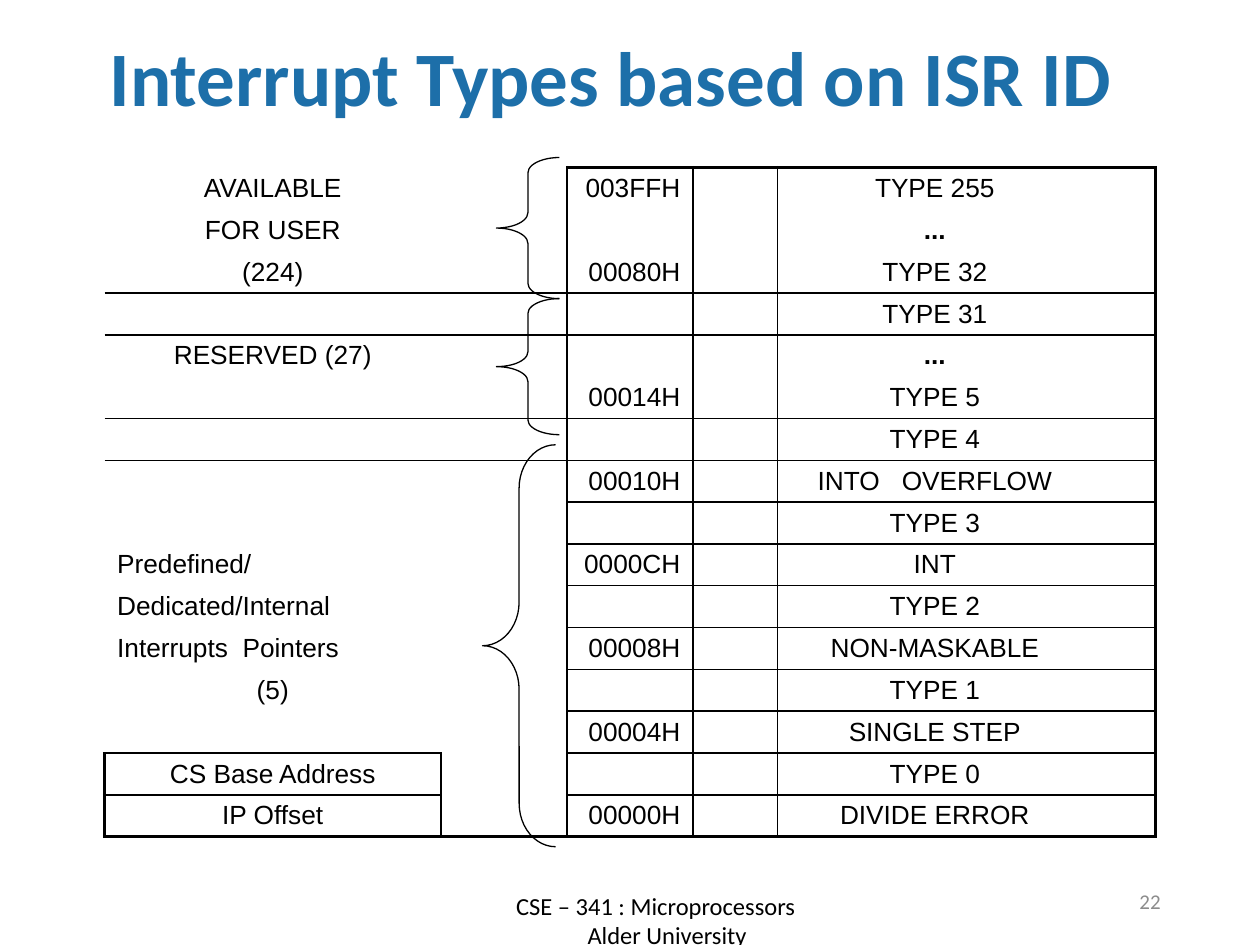
from dataclasses import dataclass
from typing import Iterable

from lxml import etree
from pptx import Presentation
from pptx.dml.color import RGBColor
from pptx.enum.shapes import MSO_SHAPE
from pptx.enum.text import MSO_ANCHOR, MSO_AUTO_SIZE, PP_ALIGN
from pptx.oxml.ns import qn
from pptx.util import Inches, Pt

LEFT, CENTER, RIGHT = PP_ALIGN.LEFT, PP_ALIGN.CENTER, PP_ALIGN.RIGHT
MIDDLE, NO_FIT = MSO_ANCHOR.MIDDLE, MSO_AUTO_SIZE.NONE
LEFT_BRACE = MSO_SHAPE.LEFT_BRACE

BLACK, BLUE, GRAY = "000000", "1D6FA9", "8C8C8C"
TITLE = {"name": "Calibri", "size": Pt(44), "bold": True}
CELL = {"name": "Arial", "size": Pt(15), "bold": False}
FOOTER = {"name": "Calibri", "size": Pt(14)}
NUMBER = {"name": "Calibri", "size": Pt(12)}

THIN, THICK = 1, 2.25
NO_STYLE = "{2D5ABB26-0587-4C30-8999-92F81FD0307C}"
ROWS, ROW_HEIGHT = 16, 0.332
COL_WIDTHS = [2.67, 1, 1, 0.67, 2.5, 0.5]
GROUP_COL, ADDRESS_COL, TYPE_COL = 0, 2, 4

GROUP_LABELS = {
    0: "AVAILABLE", 1: "FOR USER", 2: "(224)", 4: "RESERVED (27)",
    9: "Predefined/", 10: "Dedicated/Internal", 11: "Interrupts Pointers",
    12: "(5)", 14: "CS Base Address", 15: "IP Offset",
}
LEFT_LABEL_ROWS = range(9, 12)
ADDRESSES = {
    0: "003FFH", 2: "00080H", 5: "00014H", 7: "00010H", 9: "0000CH",
    11: "00008H", 13: "00004H", 15: "00000H",
}
TYPES = [
    "TYPE 255", "...", "TYPE 32", "TYPE 31", "...", "TYPE 5",
    "TYPE 4", "INTO OVERFLOW", "TYPE 3", "INT", "TYPE 2", "NON-MASKABLE",
    "TYPE 1", "SINGLE STEP", "TYPE 0", "DIVIDE ERROR",
]
# Extra width of the word gap, in hundredths of a point
WIDE_GAPS = {"INTO OVERFLOW": 834, "Interrupts Pointers": 417}


@dataclass
class Edge:
    """Line below (B) or to the right (R) of cells; index -1 is the outer edge."""
    side: str
    rows: Iterable[int]
    cols: Iterable[int]
    width: float


@dataclass
class Brace:
    left: float
    top: float
    width: float
    height: float
    curve: float


EDGES = [
    Edge("R", range(ROWS), [1, 2], THIN),
    Edge("R", range(ROWS), [5], THICK),
    Edge("B", [-1], range(2, 6), THICK),
    Edge("B", [15], range(6), THICK),
    Edge("B", [2, 5], range(6), THIN),
    Edge("B", range(7, 15, 2), range(2, 6), THIN),
    Edge("B", range(6, 15, 2), [3, 5], THIN),
    # Box around the base address and offset
    Edge("B", [13, 14], [0], THIN),
    Edge("R", [14, 15], [0], THIN),
    Edge("R", [14, 15], [-1], THICK),
]
BRACES = [
    Brace(3.83, 3.53, 0.58, 3.19, 0.595),
    Brace(3.94, 2.37, 0.5, 1.08, 0.236),
    Brace(3.94, 1.25, 0.5, 1.12, 0.245),
]


def rgb(color: str) -> RGBColor:
    return RGBColor.from_string(color)


def add_run(p, text: str, fmt: dict, color: str):
    r = p.add_run()
    r.text = text
    for name, value in fmt.items():
        setattr(r.font, name, value)
    r.font.color.rgb = rgb(color)
    return r


def add_text_box(s, left: float, top: float, width: float, height: float):
    tf = s.shapes.add_textbox(
        Inches(left), Inches(top), Inches(width), Inches(height)).text_frame
    tf.word_wrap = True
    return tf


def fill_cell(cell, text: str, align) -> None:
    p = cell.text_frame.paragraphs[0]
    p.alignment = align
    fmt = {**CELL, "bold": text == "..."}
    if text in WIDE_GAPS:
        first, gap, last = text.partition(" ")
        add_run(p, first, fmt, BLACK)
        space = add_run(p, gap, fmt, BLACK)
        space.font._element.set("spc", str(WIDE_GAPS[text]))
        add_run(p, last, fmt, BLACK)
    else:
        add_run(p, text, fmt, BLACK)


def collect_borders(edges: list[Edge]) -> dict:
    """Map (row, col, side) to width, on both cells that share an edge."""
    borders = {}
    for edge in edges:
        for row in edge.rows:
            for col in edge.cols:
                borders[row, col, edge.side] = edge.width
                if edge.side == "B":
                    borders[row + 1, col, "T"] = edge.width
                else:
                    borders[row, col + 1, "L"] = edge.width
    return borders


def draw_border(cell, side: str, width: float) -> None:
    tc_pr = cell._tc.get_or_add_tcPr()
    ln = etree.SubElement(tc_pr, qn(f"a:ln{side}"), w=str(Pt(width)))
    fill = etree.SubElement(ln, qn("a:solidFill"))
    etree.SubElement(fill, qn("a:srgbClr"), val=BLACK)


def add_vector_table(s) -> None:
    frame = s.shapes.add_table(
        ROWS, len(COL_WIDTHS), Inches(0.83), Inches(1.33),
        Inches(sum(COL_WIDTHS)), Inches(ROWS * ROW_HEIGHT))
    table = frame.table
    table.first_row = table.horz_banding = False
    table._tbl.tblPr.find(qn("a:tableStyleId")).text = NO_STYLE
    for col, width in zip(table.columns, COL_WIDTHS):
        col.width = Inches(width)

    borders = collect_borders(EDGES)
    for i, row in enumerate(table.rows):
        row.height = Inches(ROW_HEIGHT)
        for j, cell in enumerate(row.cells):
            cell.margin_top = cell.margin_bottom = 0
            cell.vertical_anchor = MIDDLE
            for side in "LRTB":
                if (i, j, side) in borders:
                    draw_border(cell, side, borders[i, j, side])
            cell.fill.background()

    for i, text in GROUP_LABELS.items():
        align = LEFT if i in LEFT_LABEL_ROWS else CENTER
        fill_cell(table.cell(i, GROUP_COL), text, align)
    for i, text in ADDRESSES.items():
        fill_cell(table.cell(i, ADDRESS_COL), text, RIGHT)
    for i, text in enumerate(TYPES):
        fill_cell(table.cell(i, TYPE_COL), text, CENTER)


def add_brace(s, brace: Brace) -> None:
    sp = s.shapes.add_shape(
        LEFT_BRACE, Inches(brace.left), Inches(brace.top),
        Inches(brace.width), Inches(brace.height))
    sp.adjustments[0], sp.adjustments[1] = brace.curve, 0.5
    sp.shadow.inherit = False
    sp.fill.background()
    sp.line.color.rgb = rgb(BLACK)
    sp.line.width = Pt(0.75)


def main() -> None:
    prs = Presentation()
    prs.slide_width, prs.slide_height = Inches(10), Inches(7.5)
    s = prs.slides.add_slide(prs.slide_layouts[5])

    # Title
    title = s.shapes.title
    title.left, title.top = Inches(0.54), Inches(0.2)
    title.width, title.height = Inches(8.62), Inches(0.9)
    tf = title.text_frame
    tf.auto_size, tf.vertical_anchor = NO_FIT, MIDDLE
    p = tf.paragraphs[0]
    p.alignment, p.line_spacing = CENTER, 0.9
    add_run(p, "Interrupt Types based on ISR ID", TITLE, BLUE)

    # Vector table with its group braces
    add_vector_table(s)
    for brace in BRACES:
        add_brace(s, brace)

    # Slide number
    tf = add_text_box(s, 7.06, 6.95, 2.25, 0.4)
    tf.vertical_anchor = MIDDLE
    tf.paragraphs[0].alignment = RIGHT
    add_run(tf.paragraphs[0], "22", NUMBER, GRAY)

    # Footer, second line nudged to the right
    tf = add_text_box(s, 1.83, 7.02, 6.75, 0.4)
    course, school = tf.paragraphs[0], tf.add_paragraph()
    course.alignment = school.alignment = CENTER
    add_run(course, "CSE – 341 : Microprocessors", FOOTER, BLACK)
    add_run(school, "Alder University", FOOTER, BLACK)
    school._p.get_or_add_pPr().set("marL", str(Inches(0.18)))

    prs.save("out.pptx")


if __name__ == "__main__":
    main()
